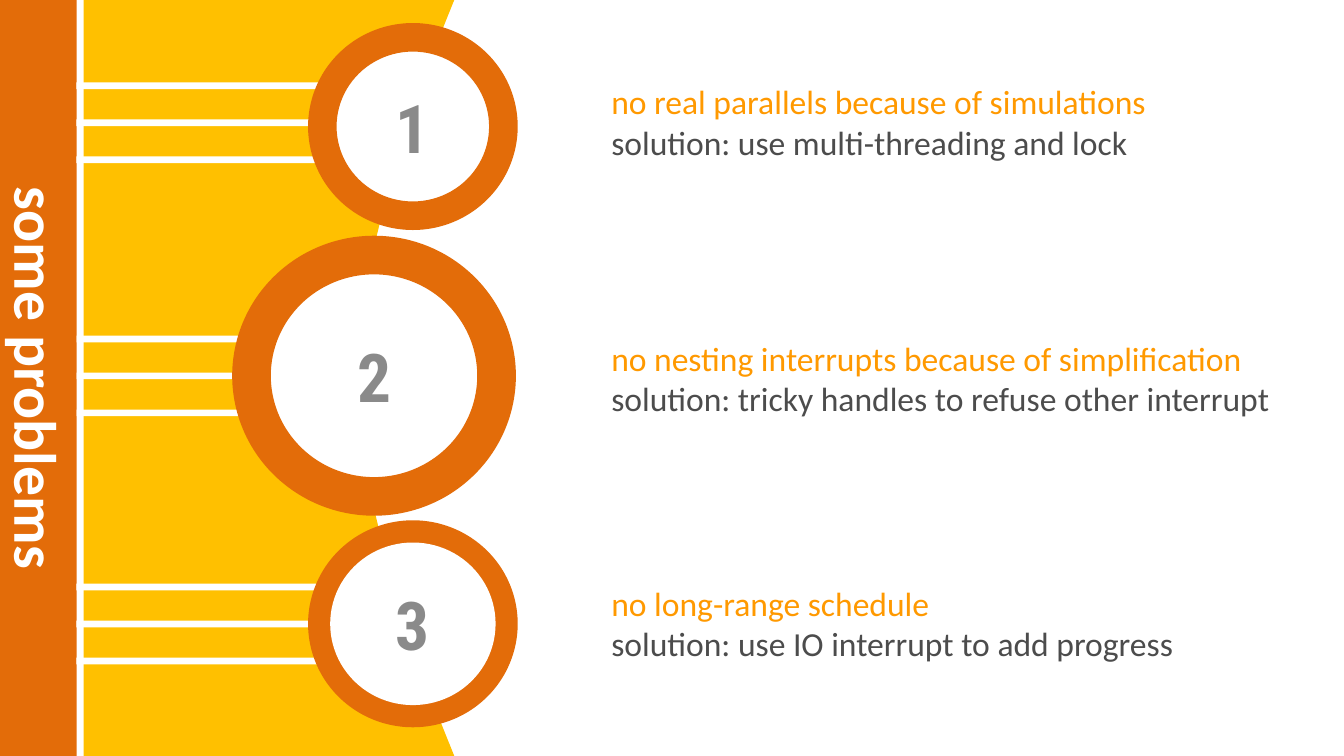
from dataclasses import dataclass

import pptx
import pptx.dml.color
import pptx.enum.shapes
import pptx.enum.text
import pptx.util

Pt = pptx.util.Pt
RGB = pptx.dml.color.RGBColor
SHAPE = pptx.enum.shapes.MSO_SHAPE
ALIGN = pptx.enum.text.PP_ALIGN
ANCHOR = pptx.enum.text.MSO_ANCHOR
AUTO = pptx.enum.text.MSO_AUTO_SIZE

WIDTH, HEIGHT = 720, 405
BAND_W = 41
STRIPE_H, STRIPE_STEP = 3.6, 19.8
ORANGE, YELLOW, WHITE = "E36C09", "FFC000", "FFFFFF"

TITLE_FONT = {"name": "Calibri", "size": Pt(32), "bold": True}
NUMBER_FONT = {"name": "Roboto Condensed", "size": Pt(36), "bold": True}
BODY_FONT = {"name": "Calibri", "size": Pt(18), "bold": False}


@dataclass
class Problem:
    number: str
    issue: str
    solution: str
    cx: float
    cy: float
    ring: tuple[float, float]
    disc: tuple[float, float]
    stripe_y: float
    stripe_w: float
    text_top: float
    text_w: float
    disc_in_front: bool = False


PROBLEMS = [
    Problem("1", "no real parallels because of simulations",
            "solution: use multi-threading and lock",
            221.2, 67.8, (112.3, 110.9), (88.6, 87.1), 65.8, 136, 40, 302),
    Problem("2", "no nesting interrupts because of simplification",
            "solution: tricky handles to refuse other interrupt",
            200.4, 201.3, (152, 150), (119.5, 118), 201.4, 98, 177.5, 368),
    Problem("3", "no long-range schedule",
            "solution: use IO interrupt to add progress",
            221.2, 334.2, (112.3, 110.9), (88.6, 87.1), 334.3, 136, 308.5, 317,
            disc_in_front=True),
]


def paint(sp, color: str) -> None:
    sp.fill.solid()
    sp.fill.fore_color.rgb = RGB.from_string(color)
    sp.line.fill.background()


def add_filled(shapes, kind, x: float, y: float, w: float, h: float, color: str):
    sp = shapes.add_shape(kind, Pt(x), Pt(y), Pt(w), Pt(h))
    sp.shadow.inherit = False
    paint(sp, color)
    return sp


def write(p, text: str, fmt: dict, color: str, align=ALIGN.LEFT) -> None:
    p.alignment = align
    r = p.add_run()
    r.text = text
    for key, value in fmt.items():
        setattr(r.font, key, value)
    r.font.color.rgb = RGB.from_string(color)


def bezier(p0, p1, p2, p3, steps: int = 12) -> list[tuple[float, float]]:
    points = []
    for i in range(1, steps + 1):
        t = i / steps
        weights = ((1 - t) ** 3, 3 * t * (1 - t) ** 2, 3 * t * t * (1 - t), t ** 3)
        points.append(tuple(sum(k * q[axis] for k, q in zip(weights, (p0, p1, p2, p3)))
                            for axis in (0, 1)))
    return points


def add_panel_half(shapes, mirrored: bool) -> None:
    """Half of the yellow panel; the lower half mirrors the upper one."""
    left, waist, bend, corner = 44.8, (192.2, 203), (208.1, 100.8), (243.4, 0)
    points = [waist]
    points += bezier(waist, (191.5, 163), (200, 134.6), bend)
    points += bezier(bend, (216.7, 67), (224.6, 46.8), corner)
    points += [(left, 0), (left, 203)]
    points = [(Pt(x), Pt(HEIGHT - y if mirrored else y)) for x, y in points]
    builder = shapes.build_freeform(*points[0], scale=1.0)
    builder.add_line_segments(points[1:], close=True)
    sp = builder.convert_to_shape()
    sp.shadow.inherit = False
    paint(sp, YELLOW)


def add_disc(shapes, item: Problem) -> None:
    w, h = item.disc
    sp = add_filled(shapes, SHAPE.OVAL, item.cx - w / 2, item.cy - h / 2, w, h, WHITE)
    sp.text_frame.vertical_anchor = ANCHOR.MIDDLE
    write(sp.text_frame.paragraphs[0], item.number, NUMBER_FONT, "8A8A8A", ALIGN.CENTER)


def add_marker(shapes, item: Problem) -> None:
    if not item.disc_in_front:
        add_disc(shapes, item)
    stripes = shapes.add_group_shape().shapes
    for k in (-1, 0, 1):
        add_filled(stripes, SHAPE.RECTANGLE, BAND_W,
                   item.stripe_y + k * STRIPE_STEP - STRIPE_H / 2,
                   item.stripe_w, STRIPE_H, WHITE)
    w, h = item.ring
    ring = add_filled(shapes, SHAPE.DONUT, item.cx - w / 2, item.cy - h / 2, w, h, ORANGE)
    ring.adjustments[0] = 0.138
    if item.disc_in_front:
        add_disc(shapes, item)


def add_description(shapes, item: Problem) -> None:
    sp = shapes.add_textbox(Pt(320.4), Pt(item.text_top), Pt(item.text_w), Pt(51))
    tf = sp.text_frame
    tf.word_wrap = False
    write(tf.paragraphs[0], item.issue, BODY_FONT, "FF9900")
    write(tf.add_paragraph(), item.solution, BODY_FONT, "4C4C4C")


def add_title(s) -> None:
    sp = s.shapes.title
    # Rotated about its centre, so the band stands on the left edge
    sp.left, sp.top = Pt((BAND_W - HEIGHT) / 2), Pt((HEIGHT - BAND_W) / 2)
    sp.width, sp.height = Pt(HEIGHT), Pt(BAND_W)
    sp.rotation = 90
    paint(sp, ORANGE)
    tf = sp.text_frame
    tf.auto_size = AUTO.NONE
    tf.vertical_anchor = ANCHOR.MIDDLE
    write(tf.paragraphs[0], "some problems", TITLE_FONT, WHITE, ALIGN.CENTER)


def main() -> None:
    prs = pptx.Presentation()
    prs.slide_width, prs.slide_height = Pt(WIDTH), Pt(HEIGHT)
    s = prs.slides.add_slide(prs.slide_layouts[5])

    # Title band and yellow panel
    add_title(s)
    for mirrored in (True, False):
        add_panel_half(s.shapes, mirrored)

    # Numbered rings, then their descriptions
    for item in PROBLEMS:
        add_marker(s.shapes, item)
    for item in PROBLEMS:
        add_description(s.shapes, item)

    prs.save("out.pptx")


if __name__ == "__main__":
    main()
